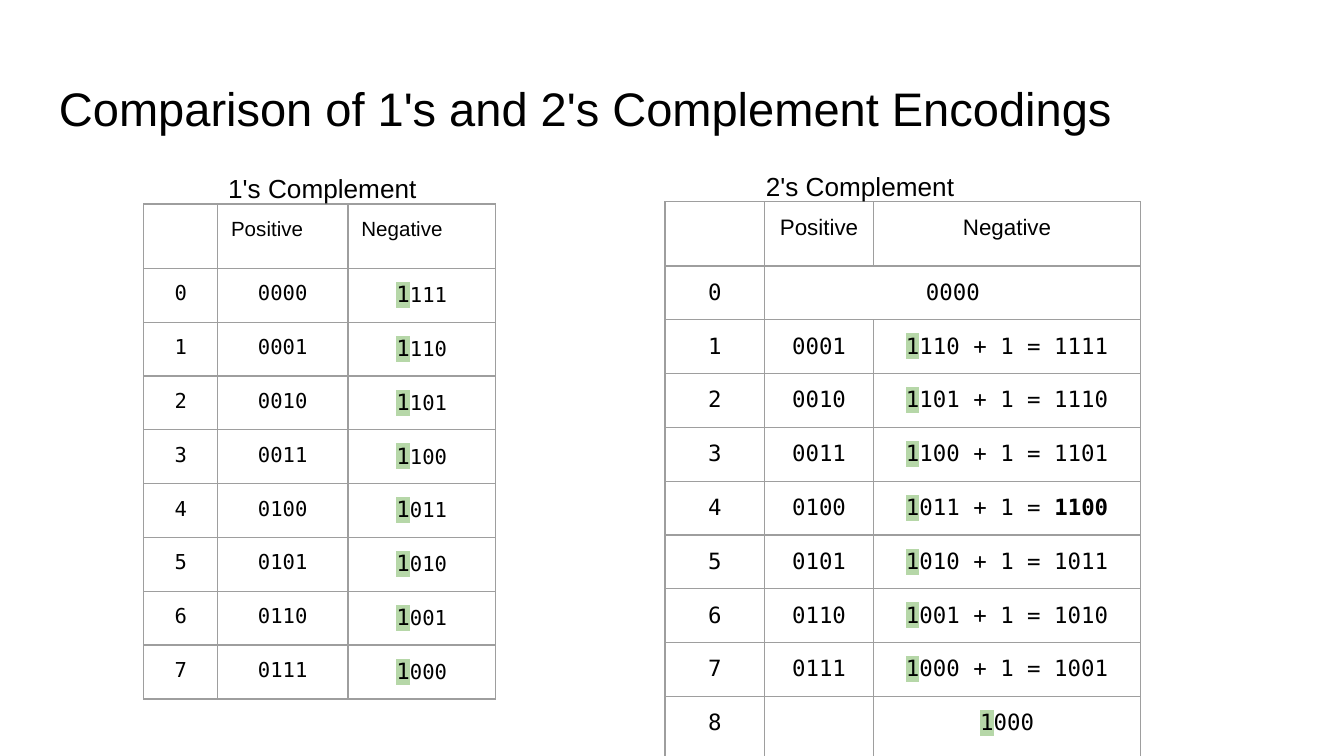
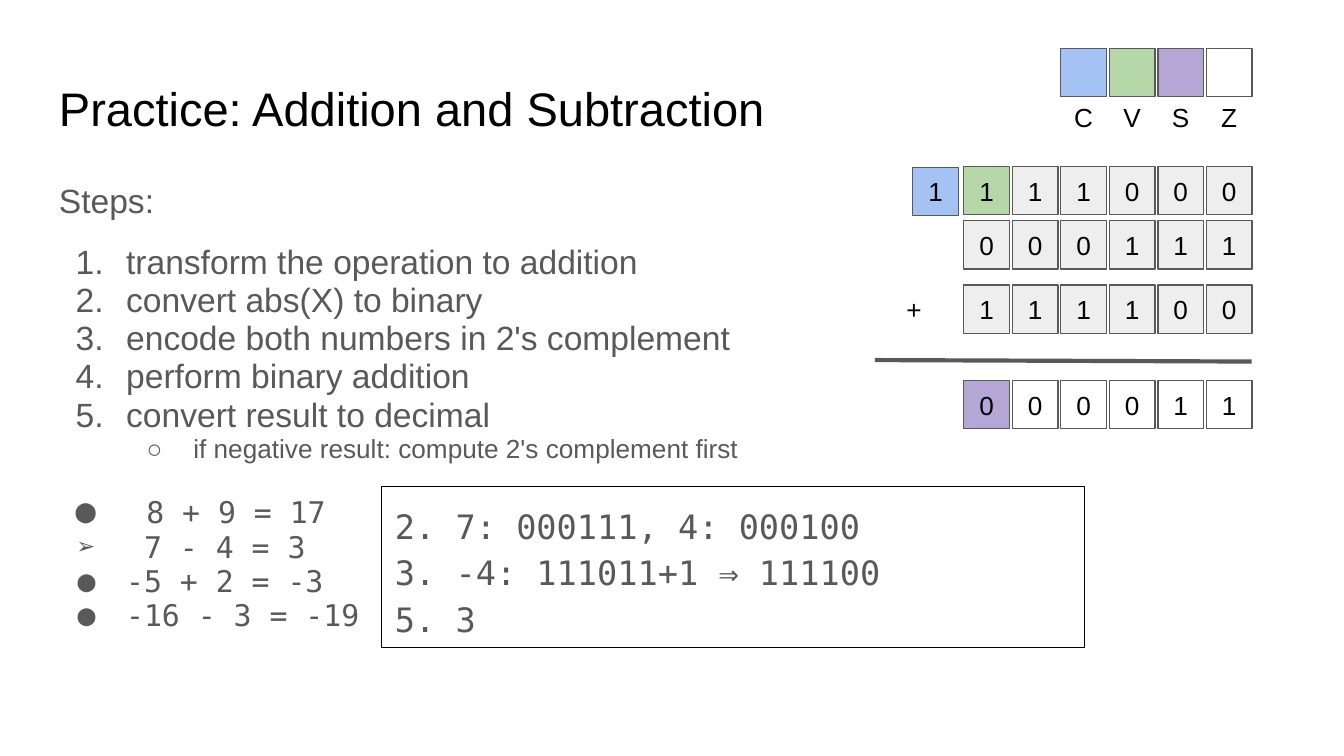
import pptx
import pptx.dml.color
import pptx.enum.shapes
import pptx.enum.text
import pptx.oxml.ns
import pptx.util
from lxml import etree

Pt = pptx.util.Pt
RGB = pptx.dml.color.RGBColor
ALIGN = pptx.enum.text.PP_ALIGN
ANCHOR = pptx.enum.text.MSO_ANCHOR
RECT = pptx.enum.shapes.MSO_SHAPE.RECTANGLE
qn = pptx.oxml.ns.qn

# Shared look
BLACK = RGB(0x00, 0x00, 0x00)
WHITE = RGB(0xFF, 0xFF, 0xFF)
GRAY = RGB(0x59, 0x59, 0x59)
PALE = RGB(0xEE, 0xEE, 0xEE)
RULE = RGB(0x9E, 0x9E, 0x9E)
BLUE = RGB(0xA4, 0xC2, 0xF4)
GREEN = RGB(0xB6, 0xD7, 0xA8)
PURPLE = RGB(0xB4, 0xA7, 0xD6)
SANS = "Arial"
MONO = "DejaVu Sans Mono"
INSET = Pt(7.2)

# Grid of bits
BIT_X, BIT_STEP, BIT_W, BIT_H = 516.3, 26, 24.5, 25.9


def add_el(parent, tag, **attrs):
    return etree.SubElement(parent, qn(tag), attrs)


def add_color(parent, color):
    add_el(parent, "a:srgbClr", val=str(color))


def add_run(para, text, size, color=BLACK, font=SANS, bold=False, mark=None):
    run = para.add_run()
    run.text = text
    run.font.size = Pt(size)
    run.font.bold = bold
    run.font.color.rgb = color
    if mark is not None:
        add_color(add_el(run.font._element, "a:highlight"), mark)
    run.font.name = font


def set_frame(frame, anchor=ANCHOR.TOP):
    frame.word_wrap = True
    frame.vertical_anchor = anchor
    frame.margin_left = frame.margin_right = INSET
    frame.margin_top = frame.margin_bottom = INSET
    return frame


def add_text(slide, x, y, w, h):
    box = slide.shapes.add_textbox(Pt(x), Pt(y), Pt(w), Pt(h))
    return set_frame(box.text_frame)


def add_label(slide, text, x, y, w, h, size):
    add_run(add_text(slide, x, y, w, h).paragraphs[0], text, size)


def add_title(slide, text):
    add_label(slide, text, 24.5, 35.3, 671, 45.4, 25.2)


def add_box(slide, x, y, w, h, fill=None, line=None, anchor=ANCHOR.MIDDLE):
    box = slide.shapes.add_shape(RECT, Pt(x), Pt(y), Pt(w), Pt(h))
    box.shadow.inherit = False
    if fill is None:
        box.fill.background()
    else:
        box.fill.solid()
        box.fill.fore_color.rgb = fill
    if line is None:
        box.line.fill.background()
    else:
        box.line.color.rgb = line
        box.line.width = Pt(0.75)
    return set_frame(box.text_frame, anchor)


def add_bit(slide, x, y, text="", fill=None, line=GRAY):
    para = add_box(slide, x, y, BIT_W, BIT_H, fill, line).paragraphs[0]
    para.alignment = ALIGN.CENTER
    if text:
        add_run(para, text, 14)


def add_bits(slide, y, bits, fill, first=None):
    for i, bit in enumerate(bits):
        color = first if i == 0 and first is not None else fill
        add_bit(slide, BIT_X + i * BIT_STEP, y, bit, color)


# Tables
def set_cell(cell, runs, align):
    props = cell._tc.get_or_add_tcPr()
    for side in ("L", "R", "T", "B"):
        line = add_el(props, "a:ln" + side, w=str(Pt(0.75)))
        add_color(add_el(line, "a:solidFill"), RULE)
    cell.fill.background()
    cell.margin_left = cell.margin_right = INSET
    cell.margin_top = cell.margin_bottom = INSET if runs else 0
    para = cell.text_frame.paragraphs[0]
    para.alignment = align
    for text, style in runs:
        add_run(para, text, **style)


def add_grid(slide, x, y, widths, heights, rows, head):
    frame = slide.shapes.add_table(len(rows), len(widths), Pt(x), Pt(y),
                                   Pt(sum(widths)), Pt(sum(heights)))
    table = frame.table
    table.first_row = table.horz_banding = False
    for col, width in zip(table.columns, widths):
        col.width = Pt(width)
    for row, height in zip(table.rows, heights):
        row.height = Pt(height)
    for r, row in enumerate(rows):
        for c, runs in enumerate(row):
            set_cell(table.cell(r, c), runs, ALIGN.CENTER if r else head)
    return table


def head_row(size):
    return [[]] + [[(text, {"size": size})] for text in ("Positive", "Negative")]


def code(text, size, **extra):
    return (text, {"size": size, "font": MONO, **extra})


def marked(text, size):
    return [code(text[0], 12, mark=GREEN), code(text[1:], size)]


def ones_rows():
    rows = [head_row(11)]
    for n in range(8):
        rows.append([[code(str(n), 11)], [code(f"{n:04b}", 11)],
                     marked(f"{15 - n:04b}", 11)])
    return rows


def twos_rows():
    rows = [head_row(12), [[code("0", 12)], [code("0000", 12)], []]]
    for n in range(1, 8):
        total = code(f"{16 - n:04b}", 12, bold=n == 4)
        rows.append([[code(str(n), 12)], [code(f"{n:04b}", 12)],
                     marked(f"{15 - n:04b} + 1 = ", 12) + [total]])
    rows.append([[code("8", 12)], [], marked("1000", 12)])
    return rows


# Lists
def add_item(frame, runs, left, hang, sign, font=SANS, before=0):
    para = frame.add_paragraph()
    props = para._p.get_or_add_pPr()
    props.set("marL", str(Pt(left)))
    props.set("indent", str(Pt(-hang)))
    add_color(add_el(props, "a:buClr"), GRAY)
    add_el(props, "a:buFont", typeface=font)
    if sign == "1.":
        add_el(props, "a:buAutoNum", type="arabicPeriod")
    else:
        add_el(props, "a:buChar", char=sign)
    para.line_spacing = 0.95
    para.space_before = Pt(before)
    for text, size in runs:
        add_run(para, text, size, GRAY, font)


def add_steps(slide):
    frame = add_text(slide, 24.5, 90.7, 671, 269)
    para = frame.paragraphs[0]
    para.line_spacing = 0.95
    add_run(para, "Steps:", 18, GRAY)
    steps = ("transform the operation to addition", "convert abs(X) to binary",
             "encode both numbers in 2's complement",
             "perform binary addition", "convert result to decimal")
    for i, step in enumerate(steps):
        add_item(frame, [(step, 18)], 36, 27, "1.", before=0 if i else 12)
    note = "if negative result: compute 2's complement first"
    add_item(frame, [(note, 14)], 72, 25, "○")
    # Exercises
    add_item(frame, [(" ", 18), ("8 + 9 = 17", 16)], 36, 27, "●", MONO, 15)
    for sign, sum_text in (("➢", " 7 - 4 = 3"), ("●", "-5 + 2 = -3"),
                           ("●", "-16 - 3 = -19")):
        add_item(frame, [(sum_text, 16)], 36, 26, sign, MONO)


def add_answer(slide):
    frame = add_box(slide, 204.5, 260.6, 376.6, 86.4, None, BLACK, ANCHOR.TOP)
    para = frame.paragraphs[0]
    para.alignment = ALIGN.LEFT
    para.line_spacing = 1.15
    para.space_after = Pt(12)
    lines = ("2. 7: 000111, 4: 000100", "3. -4: 111011+1 ⇒ 111100", "5. 3")
    for i, line in enumerate(lines):
        if i:
            para.add_line_break()
        add_run(para, line, 18, GRAY, MONO)


def add_sum(slide):
    # Flags
    flags = (("C", BLUE), ("V", GREEN), ("S", PURPLE), ("Z", WHITE))
    for i, (name, color) in enumerate(flags, start=2):
        x = BIT_X + i * BIT_STEP
        add_bit(slide, x, 25.9, fill=color)
        add_bit(slide, x, 50, name, line=None)
    # Carries, operands and result
    add_bit(slide, 489, 89.6, "1", BLUE)
    add_bits(slide, 89.2, "111000", PALE, GREEN)
    add_bits(slide, 118.2, "000111", PALE)
    add_bit(slide, 477.4, 152.8, "+", WHITE, None)
    add_bits(slide, 152.8, "111100", PALE)
    rule = slide.shapes.add_connector(pptx.enum.shapes.MSO_CONNECTOR.STRAIGHT,
                                      Pt(468.7), Pt(192.9), Pt(670.5), Pt(193.7))
    rule.line.color.rgb = GRAY
    rule.line.width = Pt(2.25)
    add_el(rule._element.spPr, "a:effectLst")
    add_bits(slide, 203.8, "000011", WHITE, PURPLE)


def add_slide(deck, title):
    slide = deck.slides.add_slide(deck.slide_layouts[6])
    add_title(slide, title)
    return slide


def main():
    deck = pptx.Presentation()
    deck.slide_width, deck.slide_height = Pt(720), Pt(405)

    # Slide 1: encodings
    slide = add_slide(deck, "Comparison of 1's and 2's Complement Encodings")
    add_grid(slide, 77, 109.3, (39.6, 69.8, 79.2), [34.5] + [28.4] * 8,
             ones_rows(), ALIGN.LEFT)
    twos = add_grid(slide, 356.2, 108, (53.5, 58.2, 143.3),
                    [34.5] + [28.4] * 8 + [34.5], twos_rows(), ALIGN.CENTER)
    twos.cell(1, 1).merge(twos.cell(1, 2))
    add_label(slide, "1's Complement", 115.2, 85, 136, 31.7, 14)
    add_label(slide, "2's Complement", 403.2, 84.3, 136, 31.7, 14)

    # Slide 2: practice
    slide = add_slide(deck, "Practice: Addition and Subtraction")
    add_steps(slide)
    add_sum(slide)
    add_answer(slide)
    deck.save("out.pptx")


if __name__ == "__main__":
    main()
